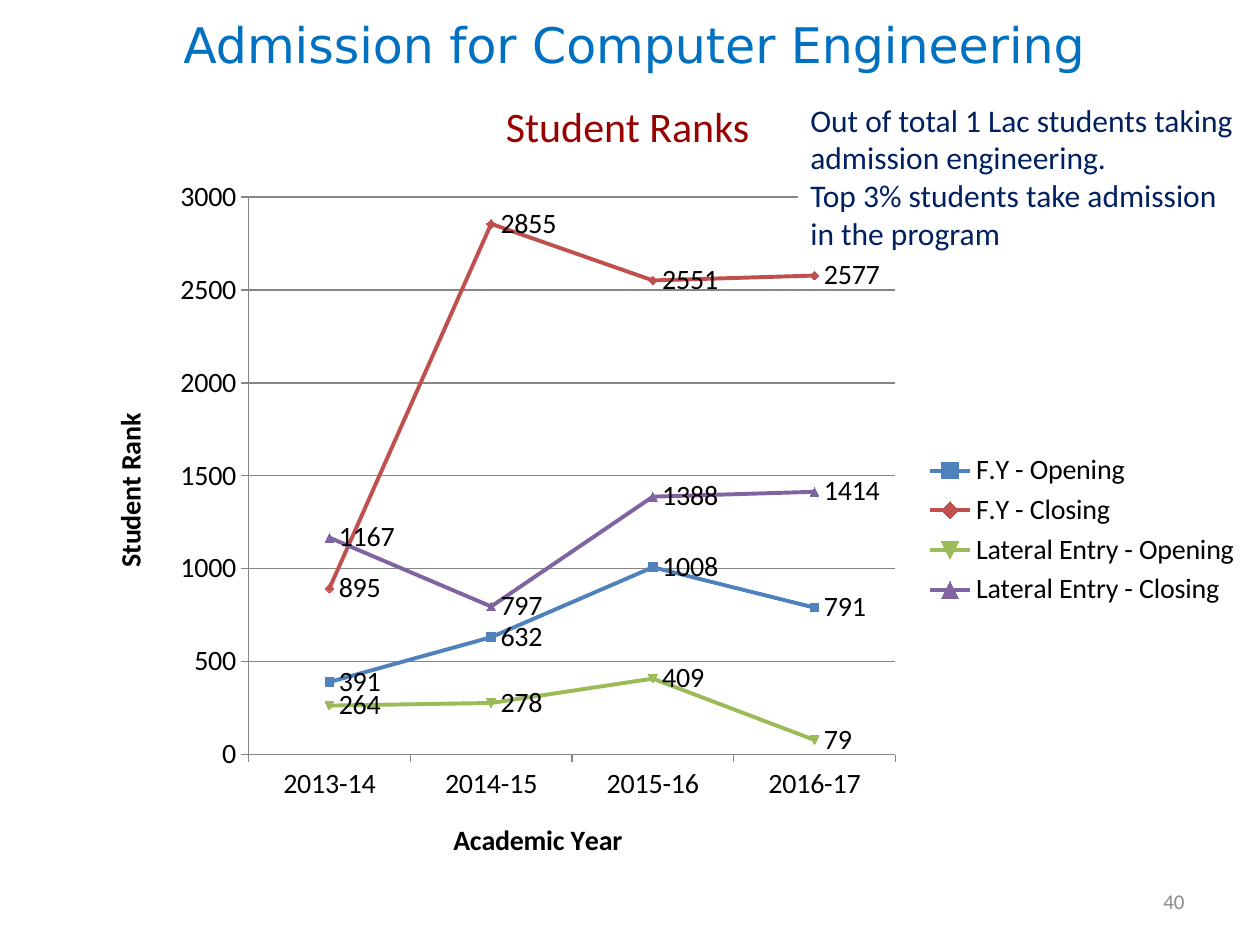
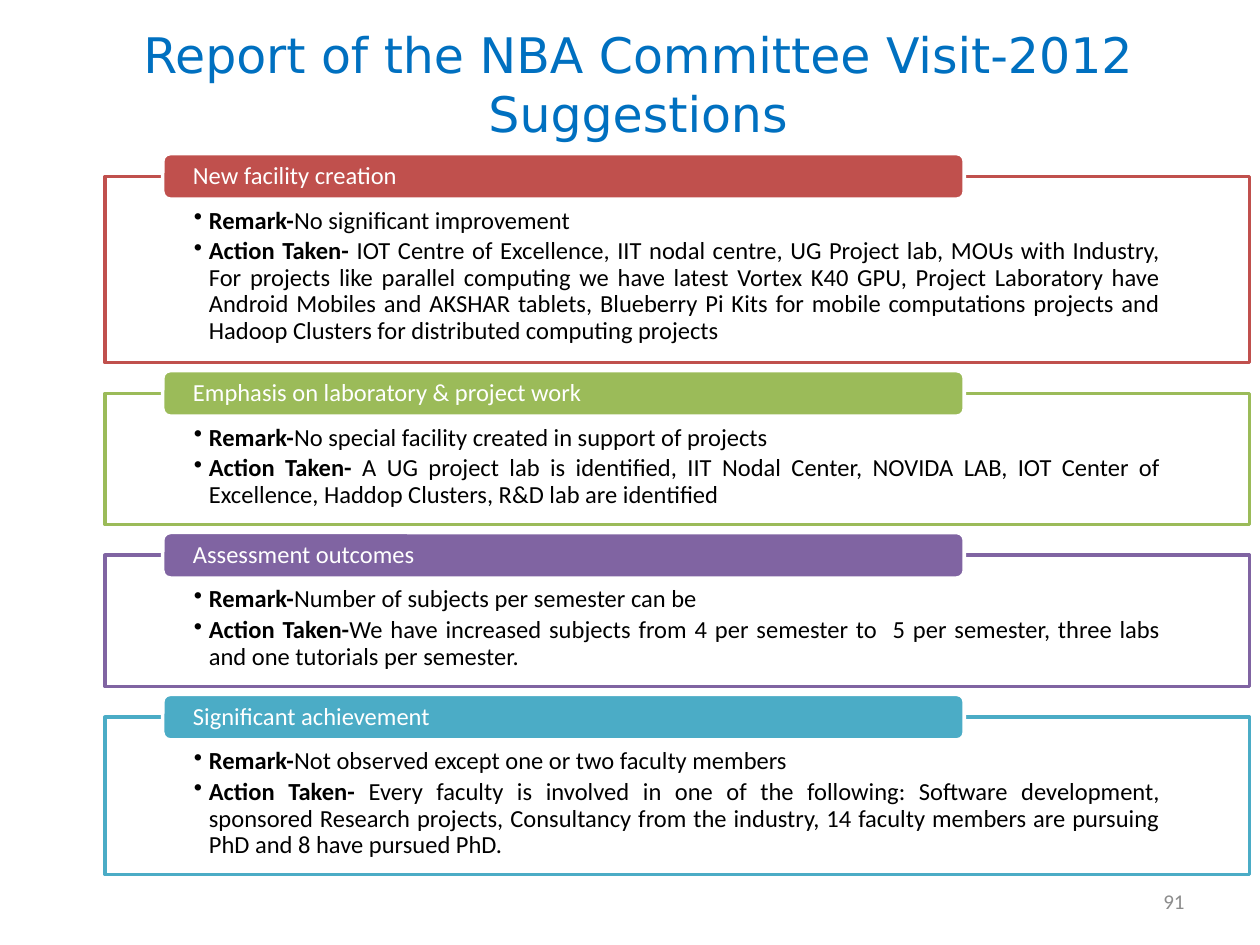
from lxml.etree import SubElement
from pptx import Presentation
from pptx.chart.data import CategoryChartData
from pptx.dml.color import RGBColor
from pptx.enum.chart import XL_CHART_TYPE, XL_LABEL_POSITION, XL_LEGEND_POSITION
from pptx.enum.shapes import MSO_SHAPE
from pptx.enum.text import MSO_ANCHOR, PP_ALIGN
from pptx.oxml.ns import qn
from pptx.util import Pt

BODY_FONT = "Calibri"
TITLE_FONT = "DejaVu Sans"

WHITE = RGBColor(0xFF, 0xFF, 0xFF)
BLACK = RGBColor(0x00, 0x00, 0x00)
TITLE_BLUE = RGBColor(0x00, 0x70, 0xC0)
NAVY = RGBColor(0x00, 0x20, 0x60)
DARK_RED = RGBColor(0x99, 0x00, 0x00)
NUMBER_GREY = RGBColor(0x8C, 0x8C, 0x8C)
GRID_GREY = RGBColor(0x86, 0x86, 0x86)
BLUE = RGBColor(0x4F, 0x81, 0xBD)
RED = RGBColor(0xC0, 0x50, 0x4D)
GREEN = RGBColor(0x9B, 0xBB, 0x59)
PURPLE = RGBColor(0x80, 0x64, 0xA2)
TEAL = RGBColor(0x4B, 0xAC, 0xC6)

YEARS = ["2013-14", "2014-15", "2015-16", "2016-17"]
RANKS = [
    ("F.Y - Opening ", BLUE, [391, 632, 1008, 791]),
    ("F.Y - Closing ", RED, [895, 2855, 2551, 2577]),
    ("Lateral Entry - Opening ", GREEN, [264, 278, 409, 79]),
    ("Lateral Entry - Closing ", PURPLE, [1167, 797, 1388, 1414]),
]
# Fractions of the chart frame taken by the plot
PLOT_LAYOUT = {"x": 0.14, "y": 0.04, "w": 0.55, "h": 0.77}

# Heading, colour, panel height, remark, action taken
SUGGESTIONS = [
    ("New facility creation", RED, 106.5,
     "No significant improvement",
     " IOT Centre of Excellence, IIT nodal centre, UG Project lab, MOUs with "
     "Industry, For projects like parallel computing we have latest Vortex K40 GPU, "
     "Project Laboratory have Android Mobiles and AKSHAR tablets, Blueberry Pi Kits "
     "for mobile computations projects and Hadoop Clusters for distributed "
     "computing projects"),
    ("Emphasis on laboratory & project work", GREEN, 75,
     "No special facility created in support of projects",
     " A UG project lab is identified, IIT Nodal Center, NOVIDA LAB, IOT Center of "
     "Excellence, Haddop Clusters, R&D lab are identified"),
    ("Assessment outcomes", PURPLE, 75,
     "Number of subjects per semester can be",
     "We have increased subjects from 4 per semester to  5 per semester, three labs "
     "and one tutorials per semester."),
    ("Significant achievement", TEAL, 90,
     "Not observed except one or two faculty members",
     " Every faculty is involved in one of the following: Software development, "
     "sponsored Research projects, Consultancy from the industry, 14 faculty "
     "members are pursuing PhD and 8 have pursued PhD."),
]
PANEL_GAP = 17.5
HEADING_HEIGHT = 26


def style_font(font, size, color, name=BODY_FONT, bold=False):
    font.name = name
    font.size = Pt(size)
    font.color.rgb = color
    font.bold = bold


def add_run(paragraph, text, size, color, **style):
    run = paragraph.add_run()
    run.text = text
    style_font(run.font, size, color, **style)


def set_frame(shape, insets, anchor=MSO_ANCHOR.TOP, wrap=True):
    """Set insets (left, top, right, bottom), anchor and wrapping."""
    frame = shape.text_frame
    frame.word_wrap = wrap
    frame.vertical_anchor = anchor
    (frame.margin_left, frame.margin_top,
     frame.margin_right, frame.margin_bottom) = map(Pt, insets)
    return frame


def add_text(slide, box, insets=(7.2, 3.6, 7.2, 3.6), **layout):
    return set_frame(slide.shapes.add_textbox(*map(Pt, box)), insets, **layout)


def add_block(slide, kind, box, fill, line):
    block = slide.shapes.add_shape(kind, *map(Pt, box))
    block.shadow.inherit = False
    block.fill.solid()
    block.fill.fore_color.rgb = fill
    block.line.color.rgb = line
    block.line.width = Pt(2)
    return block


def add_title(slide, box, lines):
    frame = add_text(slide, box, anchor=MSO_ANCHOR.MIDDLE)
    heading = frame.paragraphs[0]
    heading.alignment = PP_ALIGN.CENTER
    for index, line in enumerate(lines):
        if index:
            heading.add_line_break()
        add_run(heading, line, 28, TITLE_BLUE, name=TITLE_FONT)


def add_page_number(slide, number):
    frame = add_text(slide, (516, 500.5, 168, 28.75), anchor=MSO_ANCHOR.MIDDLE)
    frame.paragraphs[0].alignment = PP_ALIGN.RIGHT
    add_run(frame.paragraphs[0], str(number), 12, NUMBER_GREY)


def fix_plot_layout(chart):
    plot_area = chart.plots[0]._element.getparent()
    for existing in plot_area.findall(qn("c:layout")):
        plot_area.remove(existing)
    layout = plot_area.makeelement(qn("c:layout"))
    plot_area.insert(0, layout)
    manual = SubElement(layout, qn("c:manualLayout"))
    SubElement(manual, qn("c:layoutTarget")).set("val", "inner")
    for side in ("x", "y"):
        SubElement(manual, qn(f"c:{side}Mode")).set("val", "edge")
    for side, share in PLOT_LAYOUT.items():
        SubElement(manual, qn(f"c:{side}")).set("val", str(share))


def style_axis(axis, title):
    frame = axis.axis_title.text_frame
    add_run(frame.paragraphs[0], title, 16, BLACK, bold=True)
    style_font(axis.tick_labels.font, 16, BLACK)
    axis.format.line.color.rgb = GRID_GREY


def add_rank_chart(slide, box):
    ranks = CategoryChartData()
    ranks.categories = YEARS
    for name, _, values in RANKS:
        ranks.add_series(name, values)
    chart = slide.shapes.add_chart(
        XL_CHART_TYPE.LINE_MARKERS, *map(Pt, box), ranks).chart
    chart.has_title = False
    style_font(chart.font, 16, BLACK)
    chart.has_legend = True
    chart.legend.position = XL_LEGEND_POSITION.RIGHT
    chart.legend.include_in_layout = False
    style_font(chart.legend.font, 16, BLACK)

    style_axis(chart.category_axis, "Academic Year")
    rank_axis = chart.value_axis
    style_axis(rank_axis, "Student Rank")
    rank_axis.minimum_scale, rank_axis.maximum_scale = 0, 3000
    rank_axis.major_unit = 500
    rank_axis.has_major_gridlines = True
    rank_axis.major_gridlines.format.line.color.rgb = GRID_GREY

    chart.plots[0].vary_by_categories = False
    for series, (_, color, _) in zip(chart.plots[0].series, RANKS):
        series.smooth = False
        series.format.line.color.rgb = color
        series.format.line.width = Pt(2.25)
        series.marker.size = 5
        series.marker.format.fill.solid()
        series.marker.format.fill.fore_color.rgb = color
        series.marker.format.line.color.rgb = color
        labels = series.data_labels
        labels.show_value = True
        labels.position = XL_LABEL_POSITION.RIGHT
        style_font(labels.font, 16, BLACK)
    fix_plot_layout(chart)


def add_intake_note(slide, box):
    note = add_block(slide, MSO_SHAPE.RECTANGLE, box, WHITE, WHITE)
    note.line.fill.background()
    frame = set_frame(note, (7.2, 3.6, 7.2, 3.6))
    sentences = ["Out of total 1 Lac students taking admission engineering.",
                 "Top 3% students take admission in the program"]
    for index, sentence in enumerate(sentences):
        paragraph = frame.add_paragraph() if index else frame.paragraphs[0]
        paragraph.alignment = PP_ALIGN.LEFT
        add_run(paragraph, sentence, 18, NAVY)


def make_bullet(paragraph):
    properties = paragraph._p.get_or_add_pPr()
    properties.set("marL", str(Pt(8.64)))
    properties.set("indent", str(-Pt(8.64)))
    paragraph.alignment = PP_ALIGN.JUSTIFY
    paragraph.line_spacing = 0.9
    paragraph.space_after = Pt(2.4)
    SubElement(properties, qn("a:buChar")).set("char", "•")


def add_suggestion(slide, box, heading, color, remark, action):
    left, top, _, _ = box
    panel = add_block(slide, MSO_SHAPE.RECTANGLE, box, WHITE, color)
    frame = set_frame(panel, (50.75, 18, 50.75, 7.9))
    for index, (label, text) in enumerate([("Remark-", remark),
                                           ("Action Taken-", action)]):
        paragraph = frame.add_paragraph() if index else frame.paragraphs[0]
        make_bullet(paragraph)
        add_run(paragraph, label, 14, BLACK, bold=True)
        add_run(paragraph, text, 14, BLACK)

    tab_box = (left + 33, top - HEADING_HEIGHT / 2, 458, HEADING_HEIGHT)
    tab = add_block(slide, MSO_SHAPE.ROUNDED_RECTANGLE, tab_box, color, WHITE)
    caption = set_frame(tab, (16, 0, 16, 0), MSO_ANCHOR.MIDDLE).paragraphs[0]
    caption.alignment = PP_ALIGN.LEFT
    caption.line_spacing = 0.9
    add_run(caption, heading, 14, WHITE)


def build_admission(slide):
    add_title(slide, (67.5, 0, 598.5, 50.5), ["Admission for Computer Engineering "])
    add_page_number(slide, 40)
    add_rank_chart(slide, (48, 96, 672, 414))
    chart_heading = add_text(slide, (282, 54, 155, 36), wrap=False)
    add_run(chart_heading.paragraphs[0], "Student Ranks", 24, DARK_RED)
    add_intake_note(slide, (456, 54, 258, 94.5))


def build_suggestions(slide):
    add_page_number(slide, 91)
    add_title(slide, (54, 17.5, 630, 60),
              ["Report of the NBA Committee Visit-2012 ", "Suggestions "])
    top = 100.8
    for heading, color, height, remark, action in SUGGESTIONS:
        add_suggestion(slide, (60, top, 654, height), heading, color, remark, action)
        top += height + PANEL_GAP


def main():
    deck = Presentation()
    deck.slide_width, deck.slide_height = Pt(720), Pt(540)
    for build in (build_admission, build_suggestions):
        build(deck.slides.add_slide(deck.slide_layouts[6]))
    deck.save("out.pptx")


if __name__ == "__main__":
    main()
